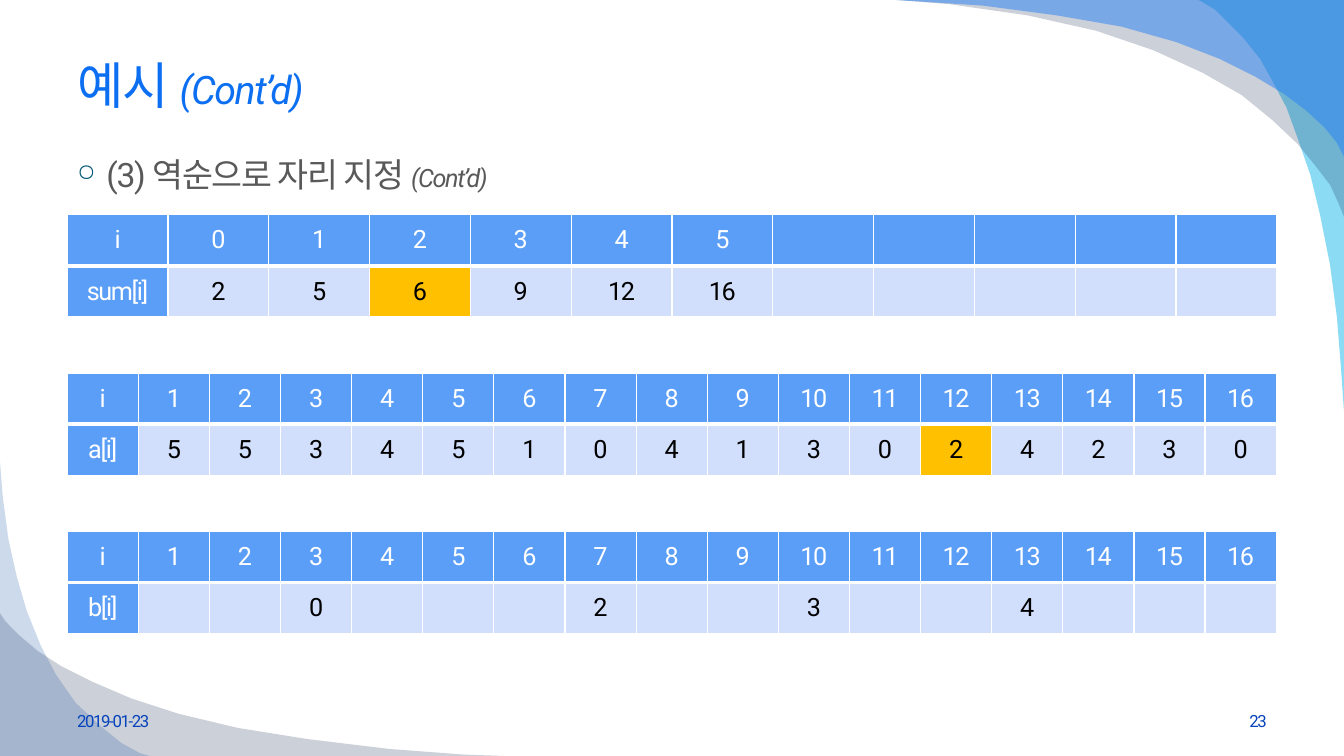
from lxml.etree import SubElement
from pptx import Presentation
from pptx.dml.color import RGBColor
from pptx.enum.text import MSO_ANCHOR as Anchor, PP_ALIGN as Align
from pptx.oxml import parse_xml
from pptx.oxml.ns import nsdecls, qn
from pptx.util import Pt

HEADER, CELL, HIGHLIGHT = "5B9EF7", "D2DFFC", "FFC000"
MARGIN, WIDTH = 48, 864


def paint(fill, color, alpha=100):
    fill.solid()
    fill.fore_color.rgb = RGBColor.from_string(color)
    if alpha < 100:
        srgb = fill._xPr.find(".//" + qn("a:srgbClr"))
        SubElement(srgb, qn("a:alpha"), val=str(alpha * 1000))


def write(frame, text, size, color, align=Align.LEFT, italic=False):
    """Add one run to the first paragraph of a text frame."""
    paragraph = frame.paragraphs[0]
    paragraph.alignment = align
    run = paragraph.add_run()
    run.text = text
    font = run.font
    font.size, font.name, font.italic = Pt(size), "Roboto", italic
    font.color.rgb = RGBColor.from_string(color)
    properties = run._r.get_or_add_rPr()
    properties.set("spc", "-100")
    latin = properties.find(qn("a:latin"))
    latin.addnext(parse_xml(f'<a:ea {nsdecls("a")} typeface="Roboto"/>'))


presentation = Presentation()
presentation.slide_width, presentation.slide_height = Pt(960), Pt(540)
slide = presentation.slides.add_slide(presentation.slide_layouts[6])

# Corner swooshes: colour, opacity, outline
swooshes = [
    ("00B1E9", 45, [
        (960, 294), (960, 0), (856, 0), (858, 1), (868, 7), (878, 17), (888, 27),
        (900, 42), (909, 58), (919, 77), (927, 99), (936, 125), (943, 154),
        (950, 189), (955, 227), (958, 265)]),
    ("021741", 20, [
        (640, 0), (960, 0), (960, 155), (956, 145), (950, 132), (940, 119),
        (927, 103), (909, 86), (887, 68), (859, 52), (824, 36), (783, 22),
        (734, 11), (678, 3)]),
    ("247FF4", 49, [
        (640, 0), (960, 0), (960, 112), (955, 102), (946, 91), (933, 79),
        (917, 67), (897, 55), (871, 42), (840, 30), (801, 19), (755, 11),
        (702, 4)]),
    ("021741", 20, [
        (360, 540), (0, 540), (0, 438), (4, 444), (14, 454), (27, 465),
        (44, 476), (66, 487), (94, 499), (128, 510), (170, 520), (220, 528),
        (278, 535), (331, 539)]),
    ("084AA1", 20, [
        (0, 330), (0, 540), (107, 540), (100, 538), (87, 531), (71, 518),
        (54, 502), (40, 482), (29, 461), (19, 436), (12, 412), (6, 385),
        (2, 355)]),
]
for color, alpha, outline in swooshes:
    builder = slide.shapes.build_freeform(*outline[0], scale=Pt(1))
    builder.add_line_segments(outline[1:])
    swoosh = builder.convert_to_shape()
    swoosh.shadow.inherit = False
    swoosh.line.fill.background()
    paint(swoosh.fill, color, alpha)

# Text boxes: left, top, width, height, anchor, alignment, runs
boxes = [
    (MARGIN, 24, WIDTH, 72.5, Anchor.MIDDLE, Align.LEFT,
     [("예시 ", 36, "0C6FF2", False), ("(Cont’d)", 28, "0C6FF2", True)]),
    (MARGIN, 106.5, WIDTH, 376, Anchor.TOP, Align.LEFT,
     [("(3) 역순으로 자리 지정 ", 24, "595959", False), ("(Cont’d)", 18, "595959", True)]),
    (MARGIN, 500.5, 224, 28.75, Anchor.MIDDLE, Align.LEFT,
     [("2019-01-23", 12, "0743BC", False)]),
    (688, 500.5, 224, 28.75, Anchor.MIDDLE, Align.RIGHT,
     [("23", 12, "0743BC", False)]),
]
frames = []
for left, top, width, height, anchor, align, runs in boxes:
    frame = slide.shapes.add_textbox(Pt(left), Pt(top), Pt(width), Pt(height)).text_frame
    frame.word_wrap = True
    frame.vertical_anchor = anchor
    for text, size, color, italic in runs:
        write(frame, text, size, color, align, italic)
    frames.append(frame)

bullet = frames[1].paragraphs[0]._p.get_or_add_pPr()
bullet.set("marL", str(Pt(21)))
bullet.set("indent", str(Pt(-21)))
bullet_color = SubElement(bullet, qn("a:buClr"))
SubElement(bullet_color, qn("a:srgbClr"), val="005876")
SubElement(bullet, qn("a:buSzPct"), val="70000")
SubElement(bullet, qn("a:buChar"), char="○")

# Array tables: top, header row, value row, highlighted column
positions = ["i", *range(1, 17)]
arrays = [
    (153.5, ["i", *range(6)] + [""] * 5, ["sum[i]", 2, 5, 6, 9, 12, 16] + [""] * 5, 3),
    (379.5, positions, ["b[i]", "", "", 0, "", "", "", 2, "", "", 3, "", "", 4, "", "", ""], None),
    (266.5, positions, ["a[i]", 5, 5, 3, 4, 5, 1, 0, 4, 1, 3, 0, 2, 4, 2, 3, 0], 12),
]
for top, header, values, highlighted in arrays:
    table = slide.shapes.add_table(
        2, len(header), Pt(MARGIN), Pt(top), Pt(WIDTH), Pt(73)).table
    table.first_row = table.horz_banding = False
    for column in table.columns:
        column.width = Pt(WIDTH / len(header))
    for row, entries in enumerate((header, values)):
        for column, entry in enumerate(entries):
            cell = table.cell(row, column)
            cell.vertical_anchor = Anchor.MIDDLE
            is_header = row == 0 or column == 0
            fill = HEADER if is_header else HIGHLIGHT if column == highlighted else CELL
            paint(cell.fill, fill)
            if entry != "":
                write(cell.text_frame, str(entry), 18,
                      "FFFFFF" if is_header else "000000", Align.CENTER)
            borders = {"L": 1, "R": 1, "T": 3 if row else 1, "B": 1 if row else 3}
            for index, (side, weight) in enumerate(borders.items()):
                cell._tc.get_or_add_tcPr().insert(index, parse_xml(
                    f'<a:ln{side} {nsdecls("a")} w="{Pt(weight)}"><a:solidFill>'
                    f'<a:srgbClr val="FFFFFF"/></a:solidFill></a:ln{side}>'))

presentation.save("out.pptx")
